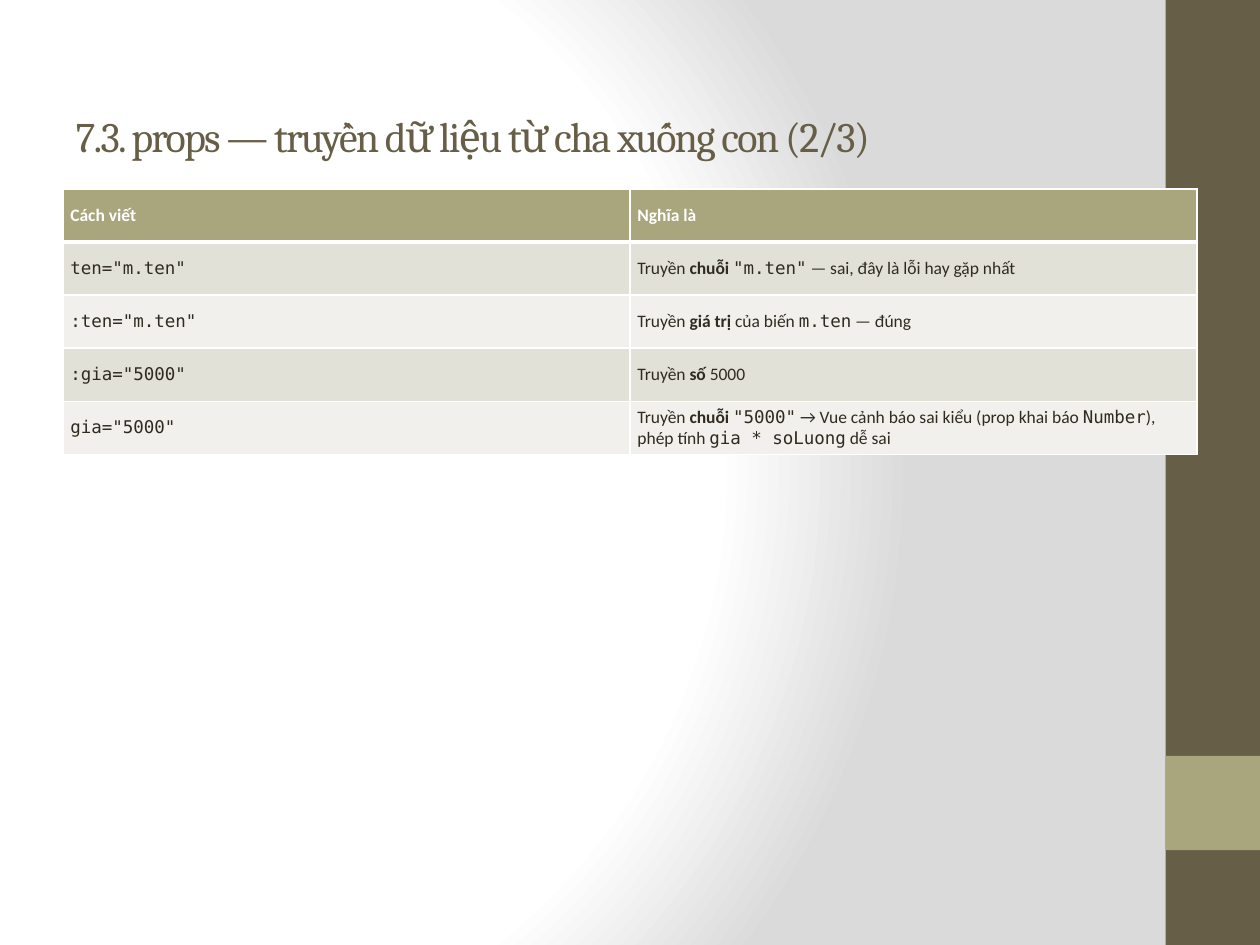
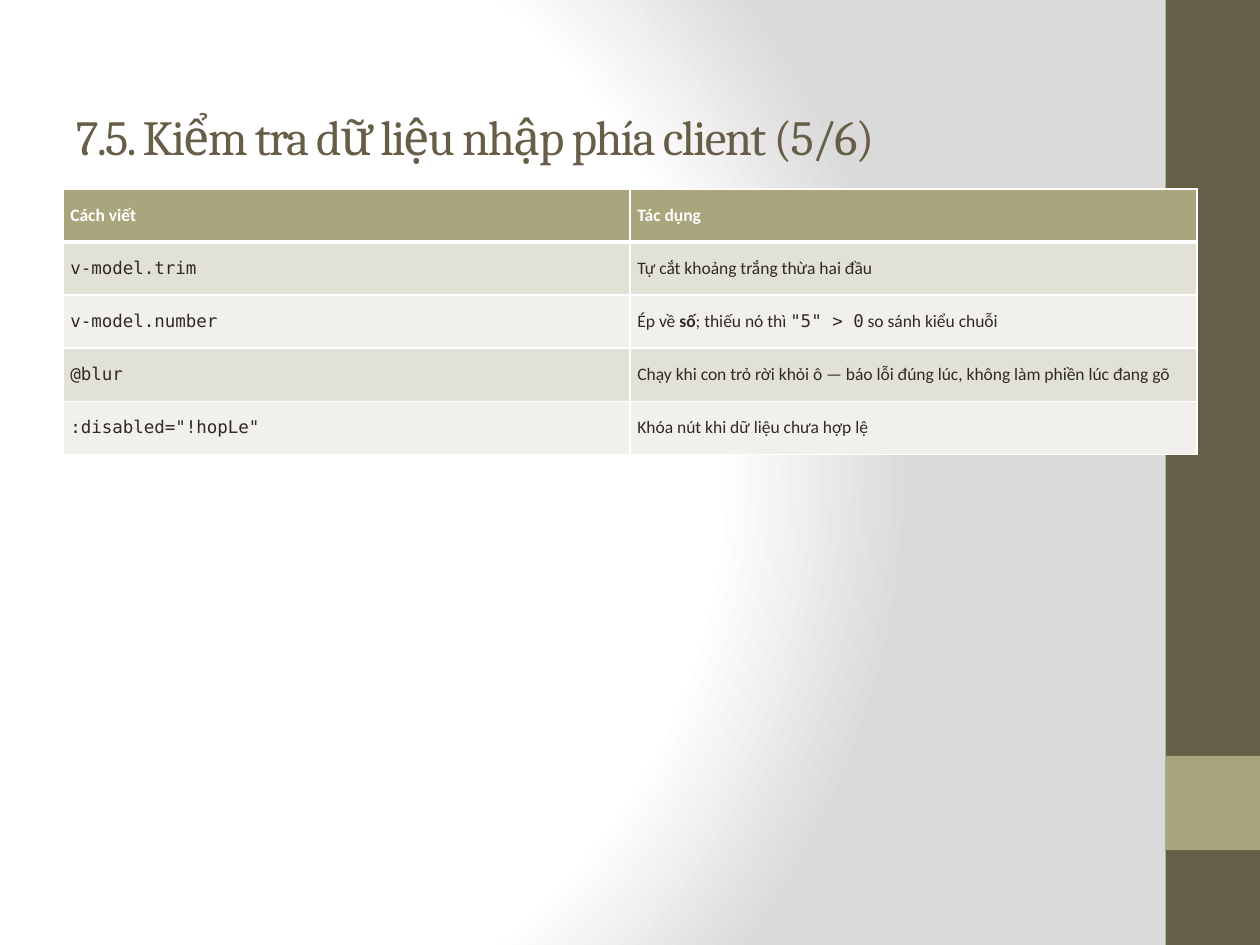
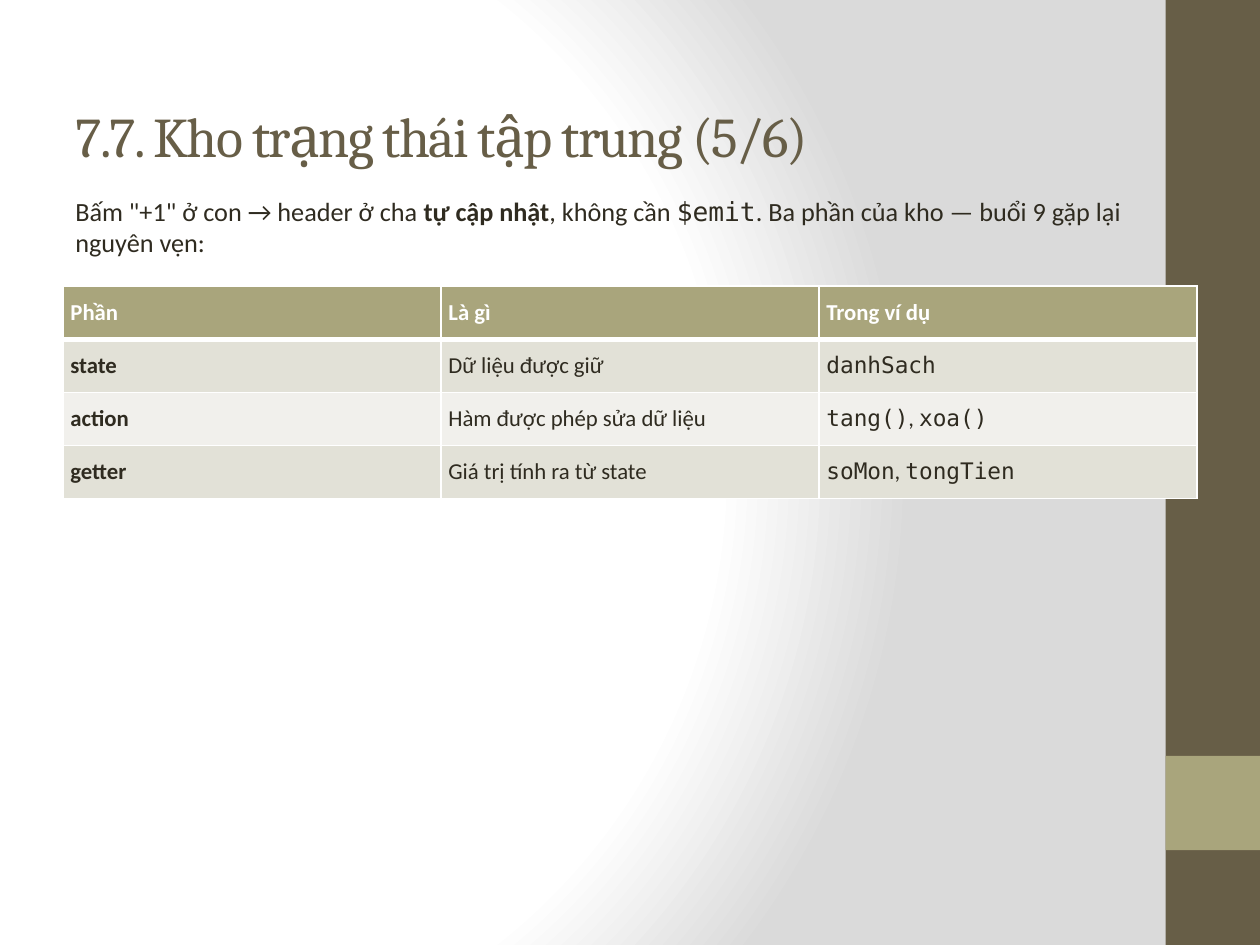
from dataclasses import dataclass
from enum import Enum
from typing import NamedTuple

from pptx import Presentation, util as u
from pptx.dml.color import RGBColor
from pptx.enum import shapes as shape_types, text as text_types
from pptx.oxml import parse_xml
from pptx.oxml.ns import nsdecls

Cm, Pt = u.Cm, u.Pt


@dataclass(frozen=True)
class Theme:
    dark: str = "675E47"
    accent: str = "A9A57C"
    ink: str = "2F2B20"
    white: str = "FFFFFF"
    grey: str = "DADADA"
    stripes: tuple[str, str] = ("E2E1D7", "F1F0EC")
    title_font: str = "Cambria"
    body_font: str = "Calibri"
    code_font: str = "DejaVu Sans Mono"
    lead_size: int = 15
    title_spacing: int = -100
    grid_width: int = 1
    header_rule_width: int = 3


THEME = Theme()


class Style(Enum):
    PLAIN = "plain"
    BOLD = "bold"
    CODE = "code"


class Run(NamedTuple):
    text: str
    style: Style = Style.PLAIN


class Box(NamedTuple):
    left: float
    top: float
    width: float
    height: float

    def lengths(self) -> list[u.Length]:
        return [Cm(value) for value in self]


class Band(NamedTuple):
    box: Box
    color: str


RichText = list[Run]


@dataclass(frozen=True)
class TableSlide:
    title: str
    title_size: int
    table_size: int
    header: list[str]
    rows: list[list[RichText]]
    lead: RichText | None = None


def plain(text: str) -> Run:
    return Run(text)


def bold(text: str) -> Run:
    return Run(text, Style.BOLD)


def code(text: str) -> Run:
    return Run(text, Style.CODE)


SLIDE_WIDTH, SLIDE_HEIGHT = 25.4, 19.05
MARGIN = 1.27
CONTENT_WIDTH = SLIDE_WIDTH - 2 * MARGIN
ROW_HEIGHT = 1.07
TABLE_TOP, TABLE_TOP_BELOW_LEAD = 3.81, 5.77
TITLE_BOX = Box(MARGIN, 0.76, 21.16, 3.94)
LEAD_BOX = Box(MARGIN, TABLE_TOP, CONTENT_WIDTH, 1.78)
BAND_LEFT, BAND_WIDTH = 23.5, 1.9
BANDS = [
    Band(Box(BAND_LEFT, 0, BAND_WIDTH, SLIDE_HEIGHT), THEME.dark),
    Band(Box(BAND_LEFT, 15.24, BAND_WIDTH, BAND_WIDTH), THEME.accent),
]

SLIDES = [
    TableSlide(
        "7.3. props — truyền dữ liệu từ cha xuống con (2/3)", 24, 10,
        ["Cách viết", "Nghĩa là"],
        [
            [[code('ten="m.ten"')],
             [plain("Truyền "), bold("chuỗi "), code('"m.ten"'),
              plain(" — sai, đây là lỗi hay gặp nhất")]],
            [[code(':ten="m.ten"')],
             [plain("Truyền "), bold("giá trị"), plain(" của biến "),
              code("m.ten"), plain(" — đúng")]],
            [[code(':gia="5000"')],
             [plain("Truyền "), bold("số"), plain(" 5000")]],
            [[code('gia="5000"')],
             [plain("Truyền "), bold("chuỗi "), code('"5000"'),
              plain(" → Vue cảnh báo sai kiểu (prop khai báo "),
              code("Number"), plain("), phép tính "),
              code("gia * soLuong"), plain(" dễ sai")]],
        ],
    ),
    TableSlide(
        "7.5. Kiểm tra dữ liệu nhập phía client (5/6)", 28, 10,
        ["Cách viết", "Tác dụng"],
        [
            [[code("v-model.trim")],
             [plain("Tự cắt khoảng trắng thừa hai đầu")]],
            [[code("v-model.number")],
             [plain("Ép về "), bold("số"), plain("; thiếu nó thì "),
              code('"5" > 0'), plain(" so sánh kiểu chuỗi")]],
            [[code("@blur")],
             [plain("Chạy khi con trỏ rời khỏi ô — báo lỗi đúng lúc, "
                    "không làm phiền lúc đang gõ")]],
            [[code(':disabled="!hopLe"')],
             [plain("Khóa nút khi dữ liệu chưa hợp lệ")]],
        ],
    ),
    TableSlide(
        "7.7. Kho trạng thái tập trung (5/6)", 32, 13,
        ["Phần", "Là gì", "Trong ví dụ"],
        [
            [[bold("state")], [plain("Dữ liệu được giữ")],
             [code("danhSach")]],
            [[bold("action")], [plain("Hàm được phép sửa dữ liệu")],
             [code("tang()"), plain(", "), code("xoa()")]],
            [[bold("getter")], [plain("Giá trị tính ra từ state")],
             [code("soMon"), plain(", "), code("tongTien")]],
        ],
        lead=[plain('Bấm "+1" ở con → header ở cha '), bold("tự cập nhật"),
              plain(", không cần "), code("$emit"),
              plain(". Ba phần của kho — buổi 9 gặp lại nguyên vẹn:")],
    ),
]


def rgb(color: str) -> RGBColor:
    return RGBColor.from_string(color)


def write_runs(paragraph, runs: RichText, size: int, color: str) -> None:
    for part in runs:
        run = paragraph.add_run()
        run.text = part.text
        is_code = part.style is Style.CODE
        run.font.name = THEME.code_font if is_code else THEME.body_font
        run.font.size = Pt(size)
        run.font.bold = part.style is Style.BOLD
        run.font.color.rgb = rgb(color)


def set_master_background(master) -> None:
    stops = "".join(
        f'<a:gs pos="{percent * 1000}"><a:srgbClr val="{color}"/></a:gs>'
        for percent, color in [(0, THEME.white), (75, THEME.white), (100, THEME.grey)]
    )
    background = parse_xml(
        f'<p:bg {nsdecls("p", "a")}><p:bgPr><a:gradFill rotWithShape="1">'
        f'<a:gsLst>{stops}</a:gsLst><a:path path="circle">'
        '<a:fillToRect l="20000" t="50000" r="100000" b="50000"/></a:path>'
        '</a:gradFill><a:effectLst/></p:bgPr></p:bg>'
    )
    common_data = master.element.cSld
    if common_data.bg is not None:
        common_data.remove(common_data.bg)
    common_data.insert(0, background)


def add_master_bands(master, slide) -> None:
    """Draw the bands on a slide, then move them behind the master's shapes."""
    for index, band in enumerate(BANDS):
        shape = slide.shapes.add_shape(
            shape_types.MSO_SHAPE.RECTANGLE, *band.box.lengths())
        shape.shadow.inherit = False
        shape.fill.solid()
        shape.fill.fore_color.rgb = rgb(band.color)
        shape.line.fill.background()
        shape.element.nvSpPr.cNvPr.set("id", str(20 + index))
        master.shapes.element.insert(2 + index, shape.element)


def add_title(slide, title: str, size: int) -> None:
    shape = slide.shapes.title
    shape.left, shape.top, shape.width, shape.height = TITLE_BOX.lengths()
    frame = shape.text_frame
    frame.word_wrap = True
    frame.auto_size = text_types.MSO_AUTO_SIZE.NONE
    frame.vertical_anchor = text_types.MSO_ANCHOR.MIDDLE
    paragraph = frame.paragraphs[0]
    paragraph.alignment = text_types.PP_ALIGN.LEFT
    run = paragraph.add_run()
    run.text = title
    run.font.name = THEME.title_font
    run.font.size = Pt(size)
    run.font.color.rgb = rgb(THEME.dark)
    run.font._element.set("spc", str(THEME.title_spacing))


def add_lead(slide, runs: RichText) -> None:
    frame = slide.shapes.add_textbox(*LEAD_BOX.lengths()).text_frame
    frame.word_wrap = True
    frame.auto_size = text_types.MSO_AUTO_SIZE.SHAPE_TO_FIT_TEXT
    write_runs(frame.paragraphs[0], runs, THEME.lead_size, THEME.ink)


def set_borders(cell, row_index: int) -> None:
    """Thin white grid, with a thicker rule between header and body."""
    widths = dict.fromkeys(["lnL", "lnR", "lnT", "lnB"], THEME.grid_width)
    if row_index == 0:
        widths["lnB"] = THEME.header_rule_width
    elif row_index == 1:
        widths["lnT"] = THEME.header_rule_width
    properties = cell._tc.get_or_add_tcPr()
    for side, width in widths.items():
        properties.append(parse_xml(
            f'<a:{side} {nsdecls("a")} w="{Pt(width)}"><a:solidFill>'
            f'<a:srgbClr val="{THEME.white}"/></a:solidFill></a:{side}>'))


def fill_cell(cell, runs: RichText, size: int, row_index: int) -> None:
    is_header = row_index == 0
    cell.margin_left = cell.margin_right = Cm(0.15)
    cell.margin_top = cell.margin_bottom = Cm(0.08)
    cell.vertical_anchor = text_types.MSO_ANCHOR.MIDDLE
    set_borders(cell, row_index)
    cell.fill.solid()
    cell.fill.fore_color.rgb = rgb(
        THEME.accent if is_header else THEME.stripes[(row_index - 1) % 2])
    write_runs(cell.text_frame.paragraphs[0], runs, size,
               THEME.white if is_header else THEME.ink)


def add_grid(slide, content: TableSlide) -> None:
    rows = [[[bold(label)] for label in content.header], *content.rows]
    top = TABLE_TOP_BELOW_LEAD if content.lead else TABLE_TOP
    box = Box(MARGIN, top, CONTENT_WIDTH, ROW_HEIGHT * len(rows))
    table = slide.shapes.add_table(
        len(rows), len(content.header), *box.lengths()).table
    table.horz_banding = False
    for row_index, row in enumerate(rows):
        for column_index, runs in enumerate(row):
            fill_cell(table.cell(row_index, column_index), runs,
                      content.table_size, row_index)


def main() -> None:
    presentation = Presentation()
    presentation.slide_width = Cm(SLIDE_WIDTH)
    presentation.slide_height = Cm(SLIDE_HEIGHT)
    master = presentation.slide_master
    title_only = presentation.slide_layouts.get_by_name("Title Only")
    set_master_background(master)
    for content in SLIDES:
        slide = presentation.slides.add_slide(title_only)
        add_title(slide, content.title, content.title_size)
        if content.lead:
            add_lead(slide, content.lead)
        add_grid(slide, content)
    add_master_bands(master, presentation.slides[0])
    presentation.save("out.pptx")


if __name__ == "__main__":
    main()
